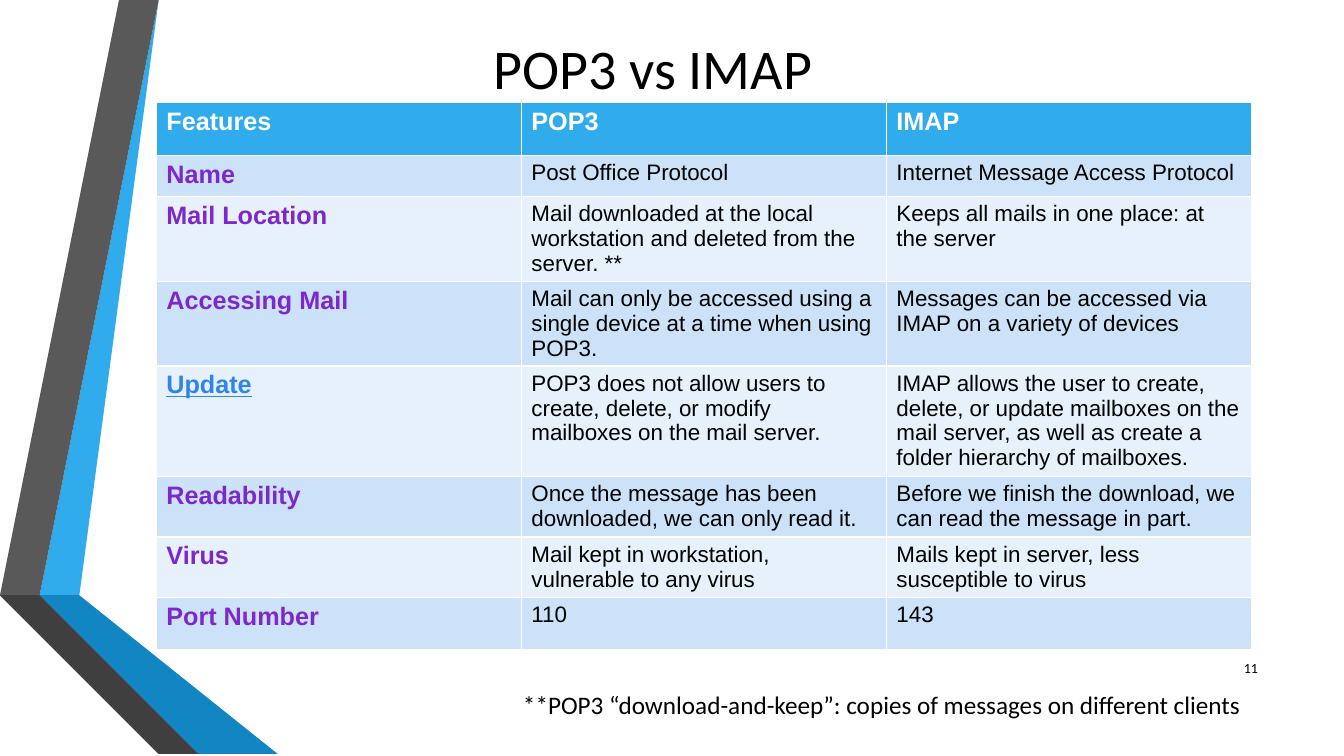
from pptx import Presentation
from pptx.dml.color import RGBColor
from pptx.enum.text import MSO_ANCHOR as Anchor, PP_ALIGN as Align
from pptx.util import Cm, Pt

COLORS = {
    "blue": "30ACEC", "teal": "1186C3", "navy": "0B5982",
    "gray": "595959", "dark": "3F3F3F", "black": "262626",
    "white": "FFFFFF", "text": "000000", "feature": "7D28CD",
    "update": "3085ED", "band": "CCE2F8", "light": "E7F1FB",
}

# Ribbon outlines in centimetres, back to front
RIBBONS = [
    ("blue", [(1.27, 14.68), (1.96, 14.81), (4.39, 0), (3.68, 0)]),
    ("gray", [(3.53, 0), (2.82, 0), (0.41, 14.55), (1.12, 14.66)]),
    ("black", [(0.41, 14.55), (3.68, 19.05), (3.84, 19.05)]),
    ("navy", [(1.27, 14.71), (5.28, 19.05), (5.44, 19.05)]),
    ("teal", [(1.27, 14.68), (1.27, 14.71), (5.44, 19.05), (7.19, 19.05),
              (1.96, 14.81)]),
    ("dark", [(5.13, 19.05), (1.22, 14.81), (1.09, 14.68), (0.41, 14.55),
              (3.84, 19.05)]),
]

ROWS = [
    ("Features", "POP3", "IMAP"),
    ("Name", "Post Office Protocol", "Internet Message Access Protocol"),
    ("Mail Location",
     "Mail downloaded at the local workstation and deleted from the server. **",
     "Keeps all mails in one place: at the server"),
    ("Accessing Mail",
     "Mail can only be accessed using a single device at a time when using POP3.",
     "Messages can be accessed via IMAP on a variety of devices"),
    ("Update",
     "POP3 does not allow users to create, delete, or modify mailboxes on the "
     "mail server.",
     "IMAP allows the user to create, delete, or update mailboxes on the mail "
     "server, as well as create a folder hierarchy of mailboxes."),
    ("Readability",
     "Once the message has been downloaded, we can only read it.",
     "Before we finish the download, we can read the message in part."),
    ("Virus",
     "Mail kept in workstation, vulnerable to any virus",
     "Mails kept in server, less susceptible to virus"),
    ("Port Number", "110", "143"),
]
ROW_HEIGHTS = [1.32, 1.04, 2.13, 2.13, 2.79, 1.52, 1.52, 1.32]
COLUMN_WIDTH = 9.2


def rgb(name):
    return RGBColor.from_string(COLORS[name])


def format_text(tf, size, color="text", font="Calibri", bold=False, align=None):
    for p in tf.paragraphs:
        p.alignment = align
        for r in p.runs:
            r.font.name = font
            r.font.size = Pt(size)
            r.font.bold = bold
            r.font.color.rgb = rgb(color)


def add_ribbon(s, color, points):
    builder = s.shapes.build_freeform(*points[0], scale=Cm(1))
    builder.add_line_segments(points[1:], close=True)
    sp = builder.convert_to_shape()
    sp.shadow.inherit = False
    sp.fill.solid()
    sp.fill.fore_color.rgb = rgb(color)
    sp.line.fill.background()


def set_title(s, text):
    sp = s.shapes.title
    sp.left, sp.top, sp.width, sp.height = Cm(5.66), Cm(0.58), Cm(21.59), Cm(2.21)
    tf = sp.text_frame
    tf.text = text
    tf.vertical_anchor = Anchor.MIDDLE
    format_text(tf, 40, align=Align.CENTER)


def add_text(s, text, left, top, width, height, size, align):
    sp = s.shapes.add_textbox(Cm(left), Cm(top), Cm(width), Cm(height))
    tf = sp.text_frame
    tf.word_wrap = True
    tf.vertical_anchor = Anchor.MIDDLE
    tf.text = text
    format_text(tf, size, align=align)


def fill_cell(cell, text, row, col):
    cell.text = text
    cell.fill.solid()
    if row == 0:
        fill, color = "blue", "white"
    else:
        fill = "band" if row % 2 else "light"
        color = "text" if col else "feature"
    cell.fill.fore_color.rgb = rgb(fill)
    strong = row == 0 or col == 0
    format_text(cell.text_frame, 18 if strong else 16, color, "Arial", strong)


def add_comparison(s):
    cols = len(ROWS[0])
    frame = s.shapes.add_table(len(ROWS), cols, Cm(3.94), Cm(2.59),
                               Cm(COLUMN_WIDTH * cols), Cm(sum(ROW_HEIGHTS)))
    table = frame.table
    for column in table.columns:
        column.width = Cm(COLUMN_WIDTH)
    for i, (texts, height) in enumerate(zip(ROWS, ROW_HEIGHTS)):
        table.rows[i].height = Cm(height)
        for j, text in enumerate(texts):
            fill_cell(table.cell(i, j), text, i, j)
            if text == "Update":
                font = table.cell(i, j).text_frame.paragraphs[0].runs[0].font
                font.underline = True
                font.color.rgb = rgb("update")


def main():
    prs = Presentation()
    prs.slide_width, prs.slide_height = Cm(33.87), Cm(19.05)
    s = prs.slides.add_slide(prs.slide_layouts[5])

    # Folded ribbons on the left
    for color, points in RIBBONS:
        add_ribbon(s, color, points)

    # Title and comparison table
    set_title(s, "POP3 vs IMAP")
    add_comparison(s)

    # Footnote and page number
    add_text(s, "**POP3 “download-and-keep”: copies of messages on different clients",
             12.93, 17.25, 19.08, 1.02, 18, Align.LEFT)
    add_text(s, "11", 30.43, 16.33, 1.52, 1.02, 10, Align.RIGHT)

    prs.save("out.pptx")


if __name__ == "__main__":
    main()
